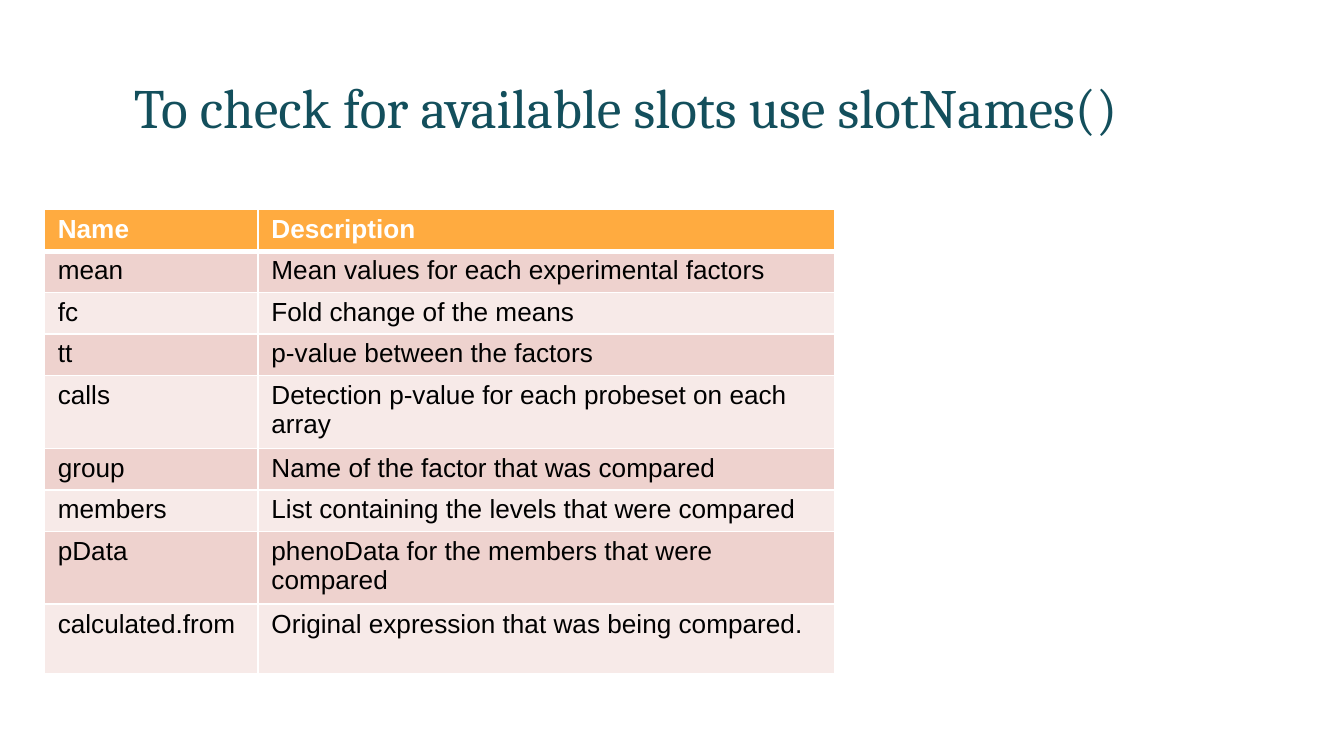
from lxml.etree import SubElement
from pptx import Presentation
from pptx.dml.color import RGBColor
from pptx.enum.text import MSO_ANCHOR as Anchor, PP_ALIGN as Align
from pptx.oxml.ns import qn
from pptx.util import Inches, Pt

WIDTH = 10
HEIGHT = WIDTH * 9 / 16
COLUMN_WIDTHS = (1.59, 4.29)
ROW_HEIGHT, LAST_ROW_HEIGHT = 0.3, 0.52
FRAME_SIDE = 3.28
HEADER_FILL, BAND_FILLS = "FFAB40", ("F7EAE8", "EED2CE")
THIN, THICK = 1, 3
SLOTS = (
    ("Name", "Description"),
    ("mean", "Mean values for each experimental factors"),
    ("fc", "Fold change of the means"),
    ("tt", "p-value between the factors"),
    ("calls", "Detection p-value for each probeset on each array"),
    ("group", "Name of the factor that was compared"),
    ("members", "List containing the levels that were compared"),
    ("pData", "phenoData for the members that were compared"),
    ("calculated.from", "Original expression that was being compared."),
)


def color(value):
    return RGBColor.from_string(value)


def set_font(paragraph, name, size, value, bold=False):
    font = paragraph.font
    font.name, font.size, font.bold = name, Pt(size), bold
    font.color.rgb = color(value)


def add_title(slide, text):
    shape = slide.shapes.add_textbox(0, Inches(0.46), Inches(WIDTH * 0.932), Inches(0.63))
    frame = shape.text_frame
    frame.word_wrap = True
    frame.vertical_anchor = Anchor.BOTTOM
    paragraph = frame.paragraphs[0]
    paragraph.text = text
    paragraph.alignment = Align.CENTER
    set_font(paragraph, "Cambria", 29.7, "134F5C")


def set_borders(cell, top, bottom):
    properties = cell._tc.get_or_add_tcPr()
    for side, width in (("L", THIN), ("R", THIN), ("T", top), ("B", bottom)):
        line = SubElement(properties, qn(f"a:ln{side}"), w=str(Pt(width)))
        fill = SubElement(line, qn("a:solidFill"))
        SubElement(fill, qn("a:srgbClr"), val="FFFFFF")


def fill_cell(cell, text, row):
    header = row == 0
    cell.margin_left = cell.margin_right = Inches(0.1)
    cell.margin_top = cell.margin_bottom = Pt(2.7)
    set_borders(cell, THICK if row == 1 else THIN, THICK if header else THIN)
    cell.fill.solid()
    cell.fill.fore_color.rgb = color(HEADER_FILL if header else BAND_FILLS[row % 2])
    paragraph = cell.text_frame.paragraphs[0]
    paragraph.text = text
    set_font(paragraph, "Arial", 14, "FFFFFF" if header else "000000", header)


def add_slot_table(slide, rows):
    frame = slide.shapes.add_table(
        len(rows), len(COLUMN_WIDTHS), Inches(0.33), Inches(1.56),
        Inches(FRAME_SIDE), Inches(FRAME_SIDE))
    table = frame.table
    for column, width in zip(table.columns, COLUMN_WIDTHS):
        column.width = Inches(width)
    for row, texts in enumerate(rows):
        last = row == len(rows) - 1
        table.rows[row].height = Inches(LAST_ROW_HEIGHT if last else ROW_HEIGHT)
        for column, text in enumerate(texts):
            fill_cell(table.cell(row, column), text, row)
    frame.width = frame.height = Inches(FRAME_SIDE)


def main():
    presentation = Presentation()
    presentation.slide_width = Inches(WIDTH)
    presentation.slide_height = Inches(HEIGHT)
    slide = presentation.slides.add_slide(presentation.slide_layouts[6])
    add_title(slide, "To check for available slots use slotNames()")
    add_slot_table(slide, SLOTS)
    presentation.save("out.pptx")


if __name__ == "__main__":
    main()
